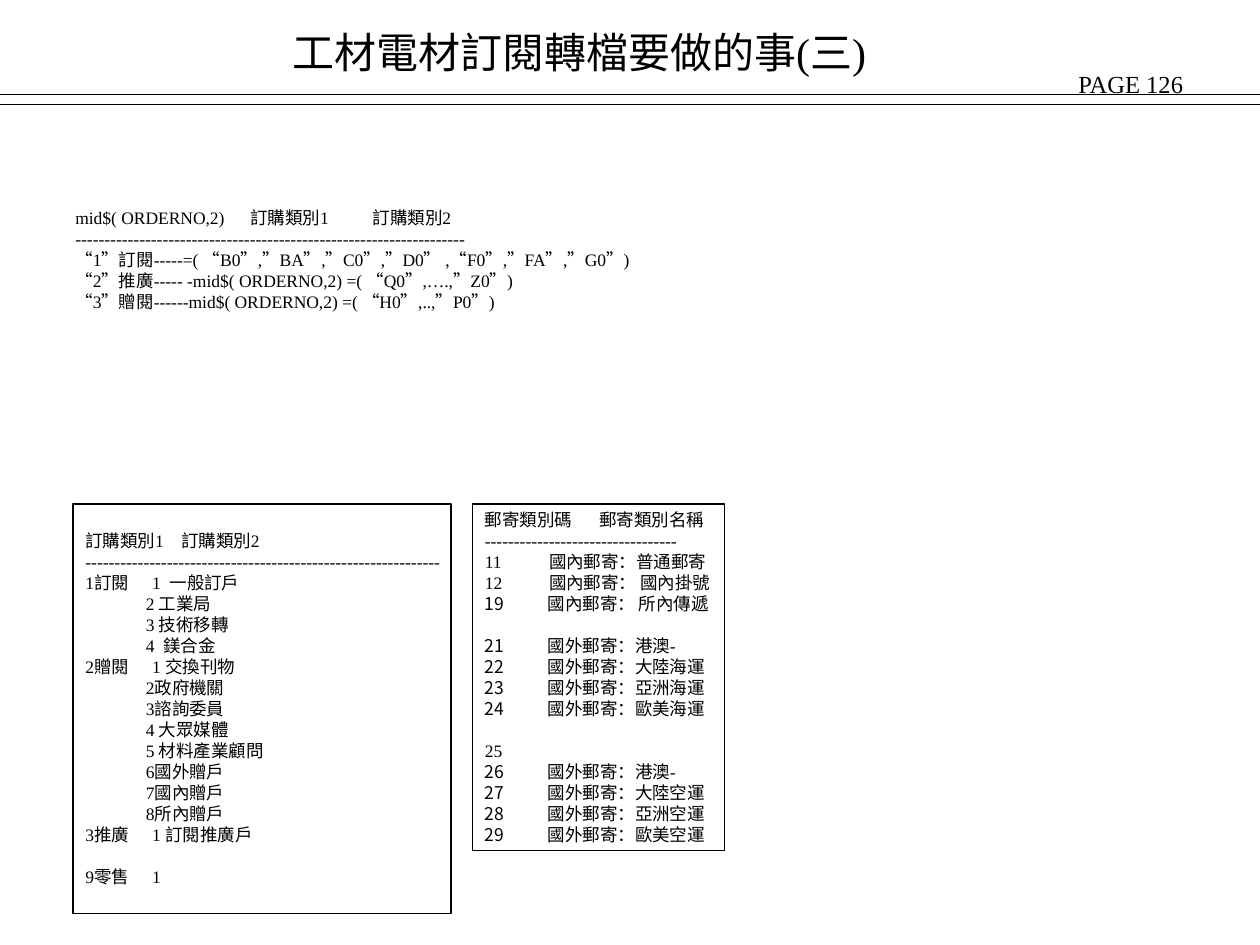
from lxml.etree import SubElement
from pptx import Presentation
from pptx.dml.color import RGBColor
from pptx.enum.shapes import MSO_CONNECTOR, MSO_SHAPE
from pptx.enum.text import MSO_ANCHOR, PP_ALIGN
from pptx.oxml.ns import qn
from pptx.util import Inches, Pt

BLACK = RGBColor(0, 0, 0)
FONT = "Times New Roman"
BODY_SIZE = 10
LINE_GAP = 12

# Each row: text, tab stop in inches, and optional settings
ORDER_CODES = [
    ("mid$( ORDERNO,2)\t訂購類別1\t訂購類別2", (1.39, 2.36)),
    ("-" * 67, ()),
    ("“1”訂閱-----=( “B0”,”BA”,”C0”,”D0” ,“F0”,”FA”,”G0”)", ()),
    ("“2”推廣----- -mid$( ORDERNO,2) =( “Q0”,….,”Z0”)", ()),
    ("“3”贈閱------mid$( ORDERNO,2) =( “H0”,..,”P0”)", ()),
]
ORDER_GROUPS = [
    ("1訂閱", ["1  一般訂戶", "2 工業局", "3 技術移轉", "4  鎂合金"]),
    ("2贈閱", ["1 交換刊物", "2政府機關", "3諮詢委員", "4 大眾媒體",
             "5 材料產業顧問", "6國外贈戶", "7國內贈戶", "8所內贈戶"]),
    ("3推廣", ["1 訂閱推廣戶"]),
    ("9零售", ["1"]),
]
DOMESTIC_MAIL = ["11\t國內郵寄：普通郵寄", "12\t國內郵寄： 國內掛號"]
SEA_MAIL = ["港澳-", "大陸海運", "亞洲海運", "歐美海運"]
AIR_MAIL = ["港澳-", "大陸空運", "亞洲空運", "歐美空運"]


def write_rows(frame, rows, size=BODY_SIZE):
    """Write (text, tab stops) rows and return their paragraphs."""
    frame.word_wrap = True
    frame.text = "\n".join(text for text, _ in rows)
    for paragraph, (_, stops) in zip(frame.paragraphs, rows):
        paragraph.alignment = PP_ALIGN.LEFT
        for run in paragraph.runs:
            run.font.size = Pt(size)
            run.font.name = FONT
            run.font.color.rgb = BLACK
        if stops:
            tab_list = SubElement(paragraph._p.get_or_add_pPr(), qn("a:tabLst"))
            for stop in stops:
                SubElement(tab_list, qn("a:tab"), pos=str(Inches(stop)), algn="l")
    return frame.paragraphs


def add_label(slide, left, top, width, height, rows, size=BODY_SIZE):
    label = slide.shapes.add_textbox(
        Inches(left), Inches(top), Inches(width), Inches(height))
    write_rows(label.text_frame, rows, size)


def add_code_box(slide, left, width, height, rows):
    box = slide.shapes.add_shape(
        MSO_SHAPE.RECTANGLE, Inches(left), Inches(4), Inches(width), Inches(height))
    box.shadow.inherit = False
    box.fill.background()
    box.line.color.rgb = BLACK
    box.line.width = Pt(0.75)
    frame = box.text_frame
    frame.vertical_anchor = MSO_ANCHOR.MIDDLE
    frame.margin_right = 0
    return write_rows(frame, rows)


def number_paragraph(paragraph, start):
    properties = paragraph._p.get_or_add_pPr()
    properties.set("marL", str(Inches(0.5)))
    properties.set("indent", str(-Inches(0.5)))
    SubElement(properties, qn("a:buAutoNum"), type="arabicPlain", startAt=str(start))


def add_rule(slide, y):
    rule = slide.shapes.add_connector(
        MSO_CONNECTOR.STRAIGHT, 0, Inches(y), Inches(10), Inches(y))
    rule.line.color.rgb = BLACK
    rule.line.width = Pt(0.75)
    SubElement(rule._element.spPr, qn("a:effectLst"))


def add_order_box(slide):
    rows = [("訂購類別1\t訂購類別2", (0.76,)), ("-" * 61, ())]
    for group, (first, *others) in ORDER_GROUPS:
        rows.append((f"{group}\t{first}", (0.53,)))
        rows += [(f"\t{other}", (0.48,)) for other in others]
    paragraphs = add_code_box(slide, 0.58, 3, 3.25, rows)
    paragraphs[-1].space_before = Pt(LINE_GAP)


def add_mail_box(slide):
    rows = [("郵寄類別碼\t郵寄類別名稱", (0.91,)), ("-" * 33, ())]
    rows += [(text, (0.51,)) for text in DOMESTIC_MAIL]
    internal = len(rows)
    rows.append(("國內郵寄： 所內傳遞", ()))
    sea = len(rows)
    rows += [(f"國外郵寄：{place}", ()) for place in SEA_MAIL]
    unused = len(rows)  # code 25 has no name
    rows.append((" ", ()))
    rows += [(f"國外郵寄：{place}", ()) for place in AIR_MAIL]

    paragraphs = add_code_box(slide, 3.75, 2, 2.75, rows)
    number_paragraph(paragraphs[internal], 19)
    for paragraph in paragraphs[sea:]:
        number_paragraph(paragraph, 21)
    for first in (sea, unused):
        paragraphs[first].space_before = Pt(LINE_GAP)


def main():
    deck = Presentation()
    deck.slide_width, deck.slide_height = Inches(10), Inches(7.5)
    slide = deck.slides.add_slide(deck.slide_layouts[6])

    # Header
    add_label(slide, 8.46, 0.5, 1.54, 0.34, [("PAGE 126", ())], 14)
    add_label(slide, 2.22, 0.16, 5.2, 0.5, [("工材電材訂閱轉檔要做的事(三)", ())], 24)
    for y in (0.75, 0.83):
        add_rule(slide, y)

    # Order code rules and the two code lists
    add_label(slide, 0.5, 1.59, 5.56, 1.1, ORDER_CODES)
    add_order_box(slide)
    add_mail_box(slide)

    deck.save("out.pptx")


if __name__ == "__main__":
    main()
